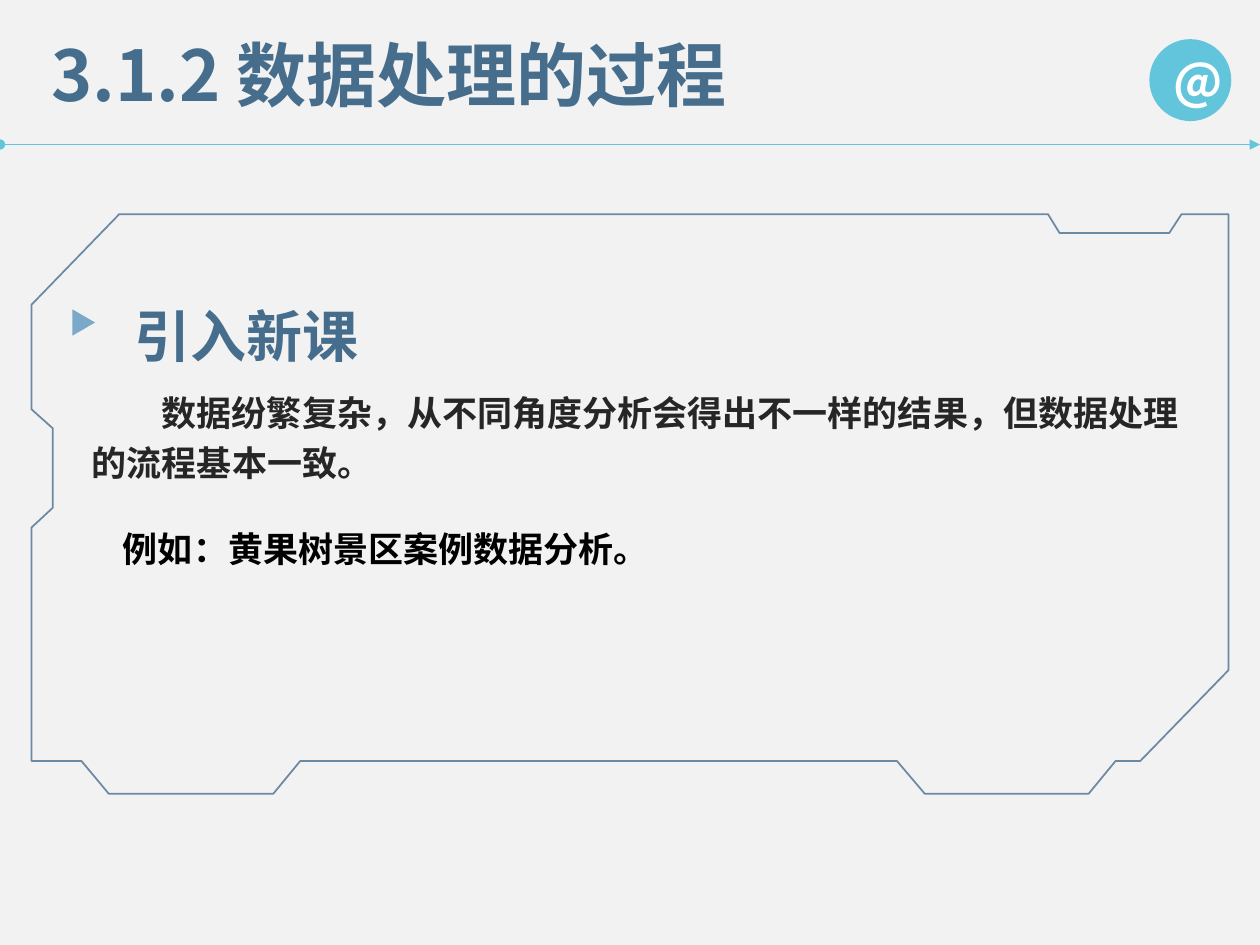
from pptx import Presentation
from pptx import util as u
from pptx.dml.color import RGBColor
from pptx.enum import shapes, text
from pptx.oxml.ns import qn
from lxml import etree

FONT = "Noto Sans CJK SC"
COLORS = {
    "background": "F2F2F2", "heading": "466E8C", "accent": "62C5DC",
    "body": "262626", "example": "000000", "marker": "7BA9CA",
    "frame": "1F4E79", "badge": "FFFFFF",
}
TEXT_BOXES = [
    {"at": (22.3, 14.4, 496.8, 55.4), "size": 40,
     "lines": [("3.1.2 数据处理的过程", "heading", 0)]},
    {"at": (69.8, 149.8, 447.8, 58.3), "size": 32, "spacing": 1.5,
     "lines": [("引入新课", "heading", 0)]},
    {"at": (45.4, 215.3, 637.9, 114.5), "size": 20, "spacing": 1.2, "gap": 10,
     "lines": [
         ("数据纷繁复杂，从不同角度分析会得出不一样的结果，但数据处理的流程基本一致。", "body", 40),
         ("例如：黄果树景区案例数据分析。", "example", 17.8),
     ]},
]
FRAME = [
    (528.5, 453.6), (622.1, 453.6), (637.5, 434.9), (651.6, 434.9),
    (702, 383), (702, 122.4), (675.2, 122.4), (668.2, 133.2),
    (605.5, 133.2), (598.9, 122.4), (68.2, 122.4), (18, 174.2),
    (18, 233.9), (30.2, 244.8), (30.2, 290.2), (18, 301.5),
    (18, 434.9), (46.6, 434.9), (62.2, 453.6), (156.2, 453.6),
    (171.6, 434.9), (512.6, 434.9),
]


def color(name):
    return RGBColor.from_string(COLORS[name])


def points(values):
    return [u.Pt(value) for value in values]


def style(para, size, name):
    for span in para.runs:
        span.font.size = u.Pt(size)
        span.font.bold = True
        span.font.name = FONT
        span.font.color.rgb = color(name)
        etree.SubElement(span.font._element, qn("a:ea"), typeface=FONT)


def add_text(page, spec_box):
    box = page.shapes.add_textbox(*points(spec_box["at"]))
    frame = box.text_frame
    frame.word_wrap = True
    frame.auto_size = text.MSO_AUTO_SIZE.SHAPE_TO_FIT_TEXT
    frame.text = "\n".join(line[0] for line in spec_box["lines"])
    for para, (_, name, indent) in zip(frame.paragraphs, spec_box["lines"]):
        para.line_spacing = spec_box.get("spacing", 1.0)
        para.space_before = para.space_after = u.Pt(spec_box.get("gap", 0))
        if indent:
            para._p.get_or_add_pPr().set("indent", str(u.Pt(indent)))
        style(para, spec_box["size"], name)


def add_solid(page, kind, at, name):
    shape = page.shapes.add_shape(kind, *points(at))
    shape.shadow.inherit = False
    shape.fill.solid()
    shape.fill.fore_color.rgb = color(name)
    shape.line.fill.background()
    return shape


def add_rule(page):
    rule = page.shapes.add_connector(
        shapes.MSO_CONNECTOR.STRAIGHT, *points((0, 82.6, 720, 82.6)))
    rule.line.color.rgb = color("accent")
    rule.line.width = u.Pt(0.5)
    line = rule.line._get_or_add_ln()
    etree.SubElement(line, qn("a:headEnd"), type="oval")
    etree.SubElement(line, qn("a:tailEnd"), type="triangle")
    etree.SubElement(rule._element.spPr, qn("a:effectLst"))


def add_badge(page):
    badge = add_solid(page, shapes.MSO_SHAPE.OVAL, (656.8, 22.4, 46.8, 46.8), "accent")
    badge.text_frame.text = "@"
    badge.text_frame.vertical_anchor = text.MSO_ANCHOR.MIDDLE
    para = badge.text_frame.paragraphs[0]
    para.alignment = text.PP_ALIGN.CENTER
    style(para, 28, "badge")


def add_frame(page):
    corners = [tuple(points(corner)) for corner in FRAME]
    builder = page.shapes.build_freeform(*corners[0])
    builder.add_line_segments(corners[1:], close=True)
    outline = builder.convert_to_shape()
    outline.shadow.inherit = False
    outline.fill.background()
    outline.line.width = u.Pt(1)
    outline.line.color.rgb = color("frame")
    tint = outline.line._get_or_add_ln().find(".//" + qn("a:srgbClr"))
    etree.SubElement(tint, qn("a:alpha"), val="64000")


def main():
    deck = Presentation()
    deck.slide_width, deck.slide_height = u.Pt(720), u.Pt(540)
    page = deck.slides.add_slide(deck.slide_layouts[6])
    page.background.fill.solid()
    page.background.fill.fore_color.rgb = color("background")

    title, *body = TEXT_BOXES
    add_text(page, title)
    add_rule(page)
    add_badge(page)
    for entry in body:
        add_text(page, entry)
    marker = add_solid(
        page, shapes.MSO_SHAPE.ISOSCELES_TRIANGLE, (40.3, 177.8, 15.1, 13), "marker")
    marker.rotation = 90
    add_frame(page)
    deck.save("out.pptx")


if __name__ == "__main__":
    main()
